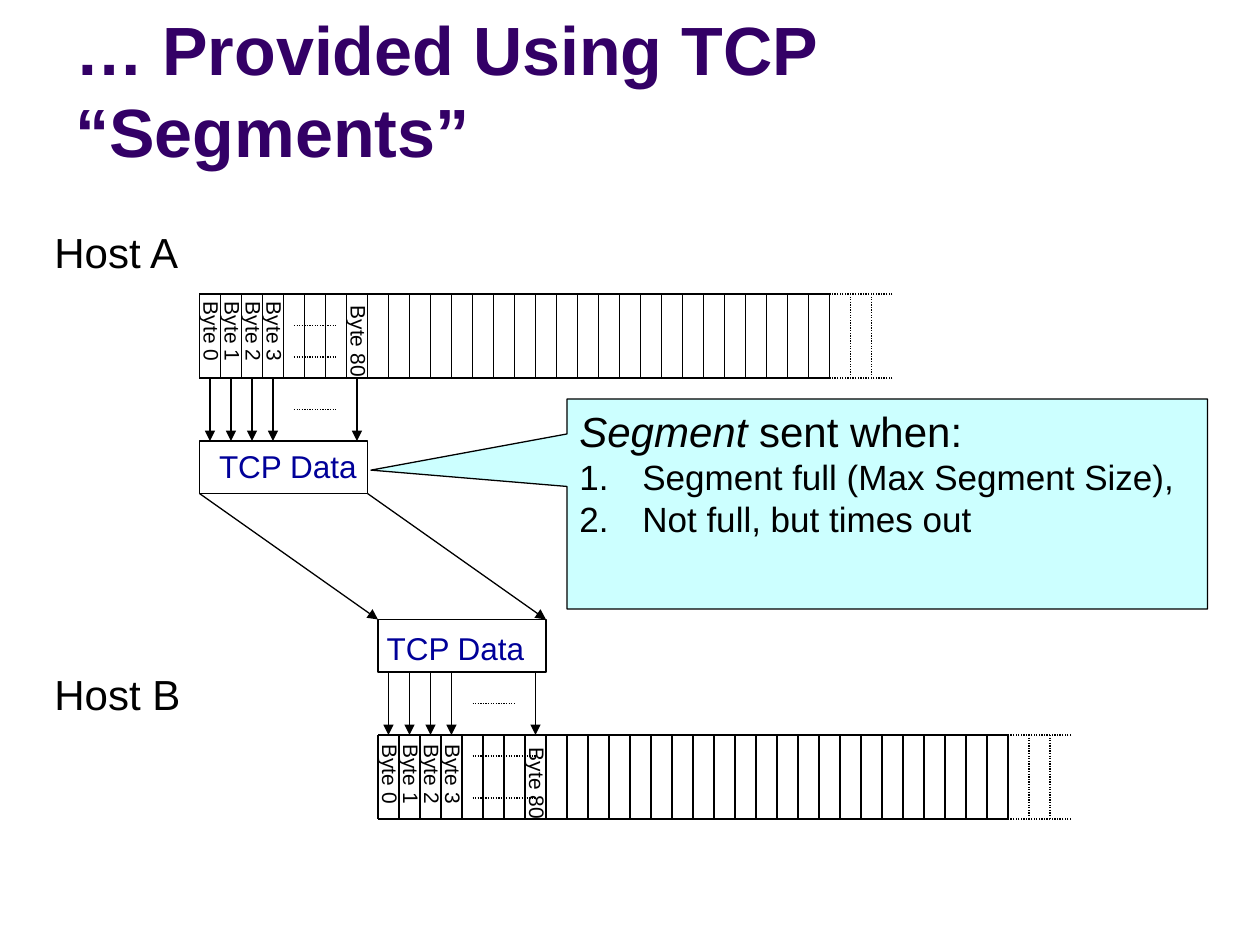
from dataclasses import dataclass

from lxml.etree import SubElement
from pptx import Presentation
from pptx.dml.color import RGBColor
from pptx.enum.dml import MSO_LINE as Dash
from pptx.enum.shapes import MSO_CONNECTOR as Link, MSO_SHAPE as Kind
from pptx.enum.text import MSO_ANCHOR as Anchor, PP_ALIGN as Align
from pptx.oxml.ns import qn
from pptx.util import Inches, Pt

COLS, ROWS = 60, 45
CELLS, SPARE = 30, 3
TALL, WIDE, DEEP, GAP = 4, 8, 2.5, 3
BYTES = {0: "Byte 0", 1: "Byte 1", 2: "Byte 2", 3: "Byte 3", 7: "Byte 80"}
HUES = {
    "ink": "000000",
    "title": "330066",
    "data": "000099",
    "paper": "FFFFFF",
    "note": "CCFFFF",
}


@dataclass
class Dots:
    row: float
    span: float = 2


@dataclass
class Host:
    name: str
    col: float
    row: float
    box: float
    arrow: float
    label: float
    tag: tuple[float, float]
    shift: float
    dots: list[Dots]


HOSTS = [
    Host("Host A", 9.5, 14, 21, 18, 10.5, (0.34, 0), 1.84,
         [Dots(15.5), Dots(17), Dots(19.5)]),
    Host("Host B", 18, 35, 29.5, 32, 31.56, (-0.18, 0.14), 1.9,
         [Dots(33.5), Dots(36, 3), Dots(38, 3)]),
]

deck = Presentation()
deck.slide_width, deck.slide_height = Inches(10), Inches(7.5)
slide = deck.slides.add_slide(deck.slide_layouts[6])
UNIT = deck.slide_width / COLS


def grid(*vals: float) -> list[int]:
    return [round(v * UNIT) for v in vals]


def hue(key: str) -> RGBColor:
    return RGBColor.from_string(HUES[key])


def write(para, text: str, size: float = 12, color: str = "ink",
          bold: bool = False, italic: bool = False) -> None:
    para.alignment = Align.LEFT
    run = para.add_run()
    run.text = text
    font = run.font
    font.name, font.size = "Arial", Pt(size)
    font.bold, font.italic = bold, italic
    font.color.rgb = hue(color)


def label(text: str, x: float, y: float, w: float, h: float, wrap: bool = False,
          turn: float = 0, anchor=Anchor.TOP, **form) -> None:
    box = slide.shapes.add_textbox(*grid(x, y, w, h))
    box.rotation = turn
    frame = box.text_frame
    frame.word_wrap, frame.vertical_anchor = wrap, anchor
    write(frame.paragraphs[0], text, **form)


def line(x1: float, y1: float, x2: float, y2: float,
         dots: bool = False, arrow: bool = False) -> None:
    link = slide.shapes.add_connector(Link.STRAIGHT, *grid(x1, y1, x2, y2))
    link.line.color.rgb, link.line.width = hue("ink"), Pt(0.75)
    if dots:
        link.line.dash_style = Dash.ROUND_DOT
    props = link.line._get_or_add_ln()
    if arrow:
        SubElement(props, qn("a:tailEnd"), type="triangle")
    SubElement(props.getparent(), qn("a:effectLst"))


def block(kind, x: float, y: float, w: float, h: float, fill: str):
    shape = slide.shapes.add_shape(kind, *grid(x, y, w, h))
    shape.shadow.inherit = False
    shape.fill.solid()
    shape.fill.fore_color.rgb = hue(fill)
    shape.line.color.rgb, shape.line.width = hue("ink"), Pt(0.75)
    return shape


def stream(host: Host) -> None:
    end, low = host.col + CELLS, host.row + TALL
    for row in (host.row, low):
        line(host.col, row, end, row)
        line(end + SPARE, row, end, row, dots=True)
    for step in range(CELLS + SPARE):
        x = host.col + step
        line(x, host.row, x, low, dots=step > CELLS)
    for dots in host.dots:
        x = host.col + 4.5
        line(x, dots.row, x + dots.span, dots.row, dots=True)
    for step, text in BYTES.items():
        x = host.col + step + 0.5
        line(x, host.arrow, x, host.arrow + GAP, arrow=True)
        w = 4.6 if step > 3 else 4.1
        drop = host.shift + (0.42 if step > 3 else 0)
        label(text, x + 0.09 - w / 2, host.row + drop - 0.9, w, 1.8, turn=89.8)
    block(Kind.RECTANGLE, host.col, host.box, WIDE, DEEP, "paper")
    dx, dy = host.tag
    label("TCP Data", host.col + dx, host.box + dy, 7.86, 2.4, size=18, color="data")
    label(host.name, 2, host.label, 7.2, 3, size=24)


def callout() -> None:
    note = block(Kind.RECTANGULAR_CALLOUT, 27, 19, 30.5, 10, "note")
    note.adjustments[0], note.adjustments[1] = -0.806, -0.161
    frame = note.text_frame
    frame.word_wrap, frame.vertical_anchor = True, Anchor.TOP
    head = frame.paragraphs[0]
    write(head, "Segment ", size=24, italic=True)
    write(head, "sent when:", size=24)
    for text in ("Segment full (Max Segment Size),", "Not full, but times out"):
        item = frame.add_paragraph()
        write(item, text, size=20)
        SubElement(item._p.get_or_add_pPr(), qn("a:buAutoNum"), type="arabicPeriod")
    for para in frame.paragraphs:
        props = para._p.get_or_add_pPr()
        props.set("marL", str(Inches(0.5)))
        props.set("indent", str(-Inches(0.5)))


label("… Provided Using TCP “Segments”", 3, 0.78, 54, 7.68, wrap=True,
      anchor=Anchor.BOTTOM, size=39, color="title", bold=True)
for host in HOSTS:
    stream(host)
first, last = HOSTS
for side in (0, WIDE):
    line(first.col + side, first.box + DEEP, last.col + side, last.box, arrow=True)
callout()
deck.save("out.pptx")
